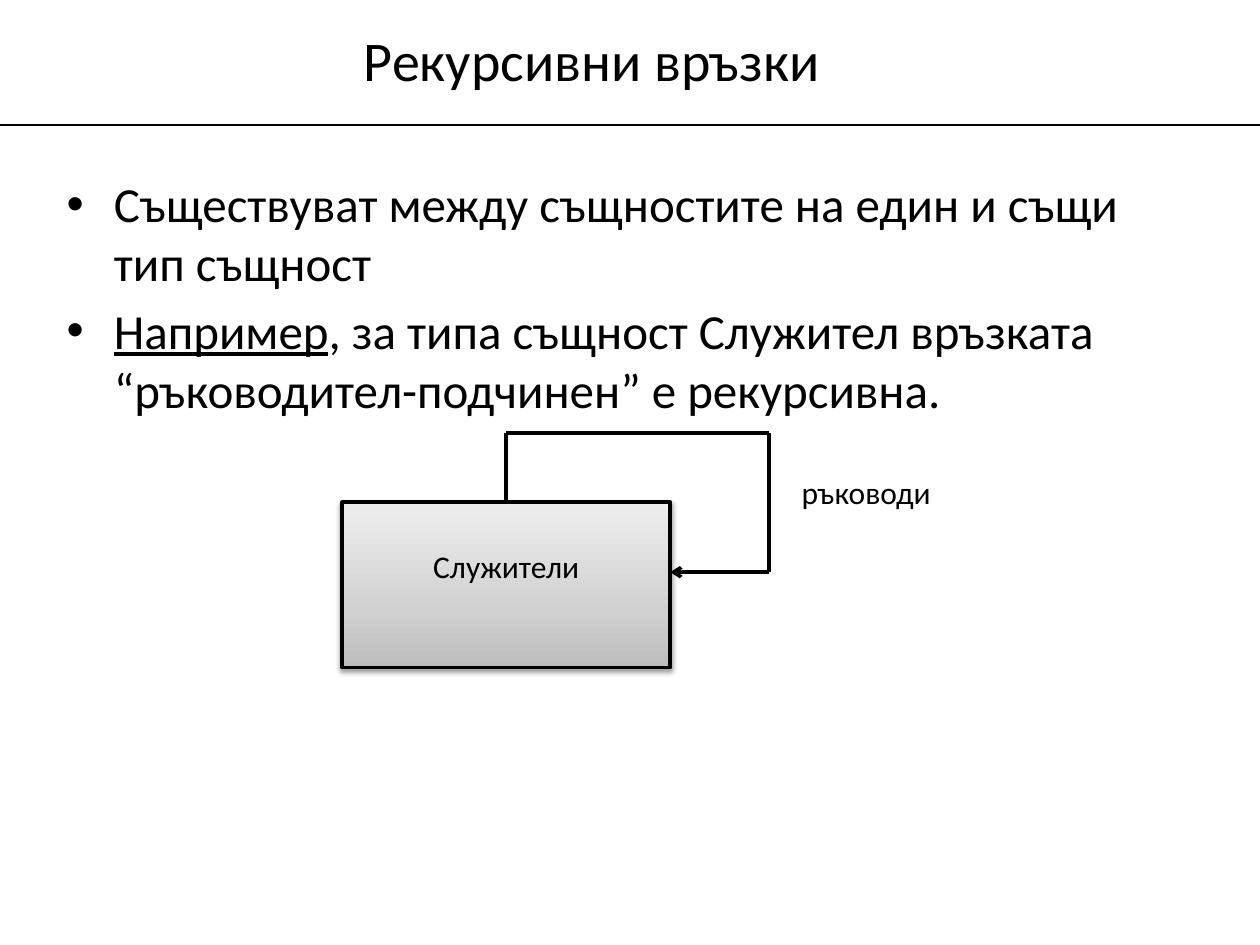
from itertools import pairwise
from lxml.etree import SubElement
from pptx import Presentation
from pptx.dml.color import RGBColor
from pptx.enum.shapes import MSO_CONNECTOR as Connector, MSO_SHAPE as Shape
from pptx.enum.text import MSO_ANCHOR as Anchor, PP_ALIGN as Align
from pptx.oxml.ns import qn
from pptx.util import Pt

COLORS = {"ink": "000000", "dark": "BDBDBD", "middle": "D1D1D1", "light": "EEEEEE"}
FONT = "Calibri"


def add_element(parent, tag, **attributes):
    return SubElement(parent, qn(tag), attributes)


def place(shape, left, top, width, height):
    shape.left, shape.top = Pt(left), Pt(top)
    shape.width, shape.height = Pt(width), Pt(height)


def write_text(paragraph, text, size=18, align=Align.LEFT, underline=False):
    paragraph.alignment = align
    run = paragraph.add_run()
    run.text = text
    run.font.name = FONT
    run.font.size = Pt(size)
    run.font.underline = underline
    run.font.color.rgb = RGBColor.from_string(COLORS["ink"])


def add_text_box(slide, left, top, width, height):
    frame = slide.shapes.add_textbox(Pt(left), Pt(top), Pt(width), Pt(height)).text_frame
    frame.word_wrap = True
    return frame


def add_title(slide, text):
    title = slide.shapes.title
    place(title, 32.4, 10, 612, 48)
    title.text_frame.vertical_anchor = Anchor.MIDDLE
    write_text(title.text_frame.paragraphs[0], text, size=32, align=Align.CENTER)


def add_bullets(slide, items):
    frame = add_text_box(slide, 31, 95.8, 641, 401)
    for index, runs in enumerate(items):
        paragraph = frame.add_paragraph() if index else frame.paragraphs[0]
        paragraph.space_before = Pt(5 if index else 0)
        properties = paragraph._p.get_or_add_pPr()
        properties.set("marL", str(Pt(27)))
        properties.set("indent", str(Pt(-27)))
        add_element(properties, "a:buFont", typeface="Arial")
        add_element(properties, "a:buChar", char="•")
        for text, underline in runs:
            write_text(paragraph, text, size=28, underline=underline)


def add_line(slide, start, end, width=2, arrow=False):
    line = slide.shapes.add_connector(Connector.STRAIGHT, *map(Pt, start + end))
    line.line.color.rgb = RGBColor.from_string(COLORS["ink"])
    line.line.width = Pt(width)
    if arrow:
        add_element(line.line._get_or_add_ln(), "a:tailEnd", type="arrow")
    add_element(line._element.spPr, "a:effectLst")


def fill_gradient(shape, stops):
    shape.fill.gradient()
    shape.fill.gradient_angle = 90
    stop_list = shape._element.spPr.find(".//" + qn("a:gsLst"))
    for old_stop in list(stop_list):
        stop_list.remove(old_stop)
    for position, color in stops:
        stop = add_element(stop_list, "a:gs", pos=str(position * 1000))
        add_element(stop, "a:srgbClr", val=COLORS[color])


def add_shadow(shape):
    shape.shadow.inherit = False
    effects = shape._element.spPr.find(qn("a:effectLst"))
    shadow = add_element(effects, "a:outerShdw", blurRad=str(Pt(3.1)),
                         dist=str(Pt(1.6)), dir="5400000", rotWithShape="0")
    color = add_element(shadow, "a:srgbClr", val=COLORS["ink"])
    add_element(color, "a:alpha", val="38000")


def add_entity(slide, text, left, top, width, height):
    entity = slide.shapes.add_shape(Shape.RECTANGLE, Pt(left), Pt(top), Pt(width), Pt(height))
    fill_gradient(entity, [(0, "dark"), (35, "middle"), (100, "light")])
    entity.line.color.rgb = RGBColor.from_string(COLORS["ink"])
    entity.line.width = Pt(2)
    add_shadow(entity)
    frame = entity.text_frame
    frame.vertical_anchor = Anchor.TOP
    frame.margin_top = Pt(25.6)
    write_text(frame.paragraphs[0], text, align=Align.CENTER)


def add_loop(slide, points):
    for start, end in pairwise(points):
        add_line(slide, start, end, arrow=end == points[-1])


def main():
    presentation = Presentation()
    presentation.slide_width, presentation.slide_height = Pt(720), Pt(540)
    slide = presentation.slides.add_slide(presentation.slide_layouts[5])
    add_line(slide, (0, 71.5), (720, 71.5), width=0.75)
    add_bullets(slide, [
        [("Съществуват между същностите на един и същи тип същност", False)],
        [("Например", True),
         (", за типа същност Служител връзката “ръководител-подчинен” е рекурсивна.", False)],
    ])
    add_title(slide, "Рекурсивни връзки")
    left, top, width, height = 195.5, 287, 187.5, 94.5
    add_entity(slide, "Служители", left, top, width, height)
    middle, right = left + width / 2, left + width
    add_loop(slide, [(middle, top), (middle, 247.5), (439.5, 247.5),
                     (439.5, 327), (right, 327)])
    label = add_text_box(slide, 451, 267, 119, 36)
    write_text(label.paragraphs[0], "ръководи")
    presentation.save("out.pptx")


main()
